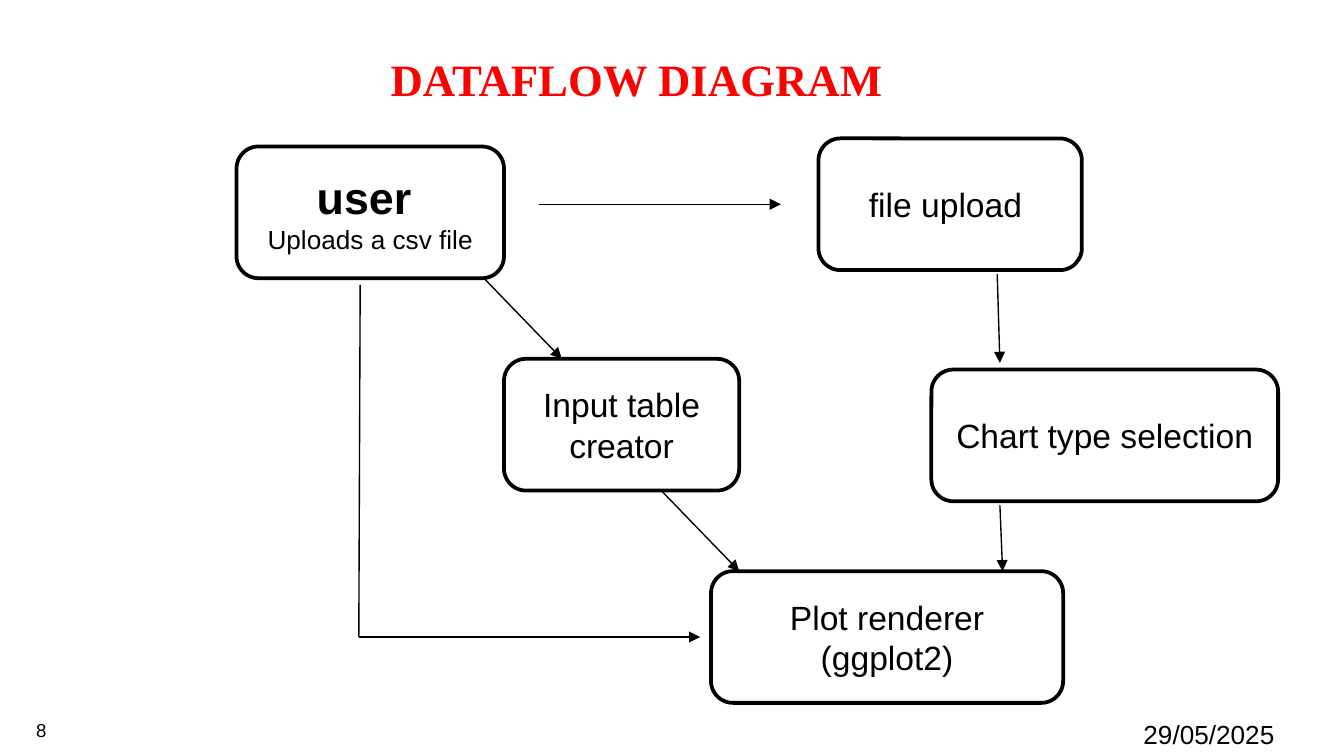
from lxml.etree import SubElement
from pptx import Presentation
from pptx.dml.color import RGBColor
from pptx.enum.shapes import MSO_CONNECTOR as Connector, MSO_SHAPE as Preset
from pptx.enum.text import MSO_ANCHOR as Anchor, MSO_AUTO_SIZE as AutoSize, PP_ALIGN as Align
from pptx.oxml.ns import qn
from pptx.util import Inches, Pt


def paint(color_format, hex_color):
    color_format.rgb = RGBColor.from_string(hex_color)


def write(frame, lines, align, color="000000", font_name="Arial"):
    for index, (text, size, bold) in enumerate(lines):
        paragraph = frame.paragraphs[0] if index == 0 else frame.add_paragraph()
        paragraph.text = text
        paragraph.alignment = align
        paragraph.font.name = font_name
        paragraph.font.size = Pt(size)
        paragraph.font.bold = bold
        paint(paragraph.font.color, color)


presentation = Presentation()
presentation.slide_width = Inches(10)
presentation.slide_height = presentation.slide_width * 9 // 16
cell = presentation.slide_width // 100
slide = presentation.slides.add_slide(presentation.slide_layouts[5])

title = slide.shapes.title
title.left, title.top, title.width, title.height = (
    int(share * cell) for share in (7.2, 2.8, 80.3, 6.1))
title.text_frame.auto_size = AutoSize.NONE
title.text_frame.vertical_anchor = Anchor.MIDDLE
write(title.text_frame, [("DATAFLOW DIAGRAM", 24, True)], Align.CENTER, "FF0000", "Times New Roman")

box_height = 9.8
boxes = [
    (37.5, 26.7, 17.5, [("Input table", 18, False), ("creator", 18, False)]),
    (60.9, 10.3, 19.6, [("file upload ", 18, False)]),
    (17.6, 10.9, 19.9, [("user ", 24, True), ("Uploads a csv file", 14, False)]),
    (52.9, 42.5, 26.2, [("Plot renderer", 18, False), ("(ggplot2)", 18, False)]),
    (69.3, 27.5, 25.8, [("Chart type selection", 18, False)]),
]
for left, top, width, lines in boxes:
    box = slide.shapes.add_shape(
        Preset.ROUNDED_RECTANGLE, *(int(share * cell) for share in (left, top, width, box_height)))
    box.shadow.inherit = False
    box.fill.solid()
    paint(box.fill.fore_color, "FFFFFF")
    paint(box.line.color, "000000")
    box.line.width = Pt(2)
    box.text_frame.vertical_anchor = Anchor.MIDDLE
    write(box.text_frame, lines, Align.CENTER)

flows = [
    (40.1, 15.2, 58.1, 15.2, True),
    (74.2, 20.4, 74.4, 27, True),
    (36, 20.7, 41.8, 26.7, True),
    (49.2, 36.5, 55, 42.5, True),
    (74.4, 37.6, 74.6, 42.5, True),
    (26.8, 21.2, 26.7, 47.4, False),
    (26.7, 47.4, 52.1, 47.4, True),
]
for *ends, has_arrow in flows:
    flow = slide.shapes.add_connector(Connector.STRAIGHT, *(int(share * cell) for share in ends))
    paint(flow.line.color, "000000")
    flow.line.width = Pt(0.75)
    properties = flow._element.spPr
    if has_arrow:
        SubElement(properties.find(qn("a:ln")), qn("a:tailEnd"), type="triangle")
    SubElement(properties, qn("a:effectLst"))

for left, width, height, text, size in [(84.1, 14.6, 3.4, "29/05/2025", 14), (1.7, 2.8, 2.7, "8", 10)]:
    footer = slide.shapes.add_textbox(*(int(share * cell) for share in (left, 53, width, height)))
    footer.text_frame.word_wrap = True
    write(footer.text_frame, [(text, size, False)], Align.LEFT)

presentation.save("out.pptx")
